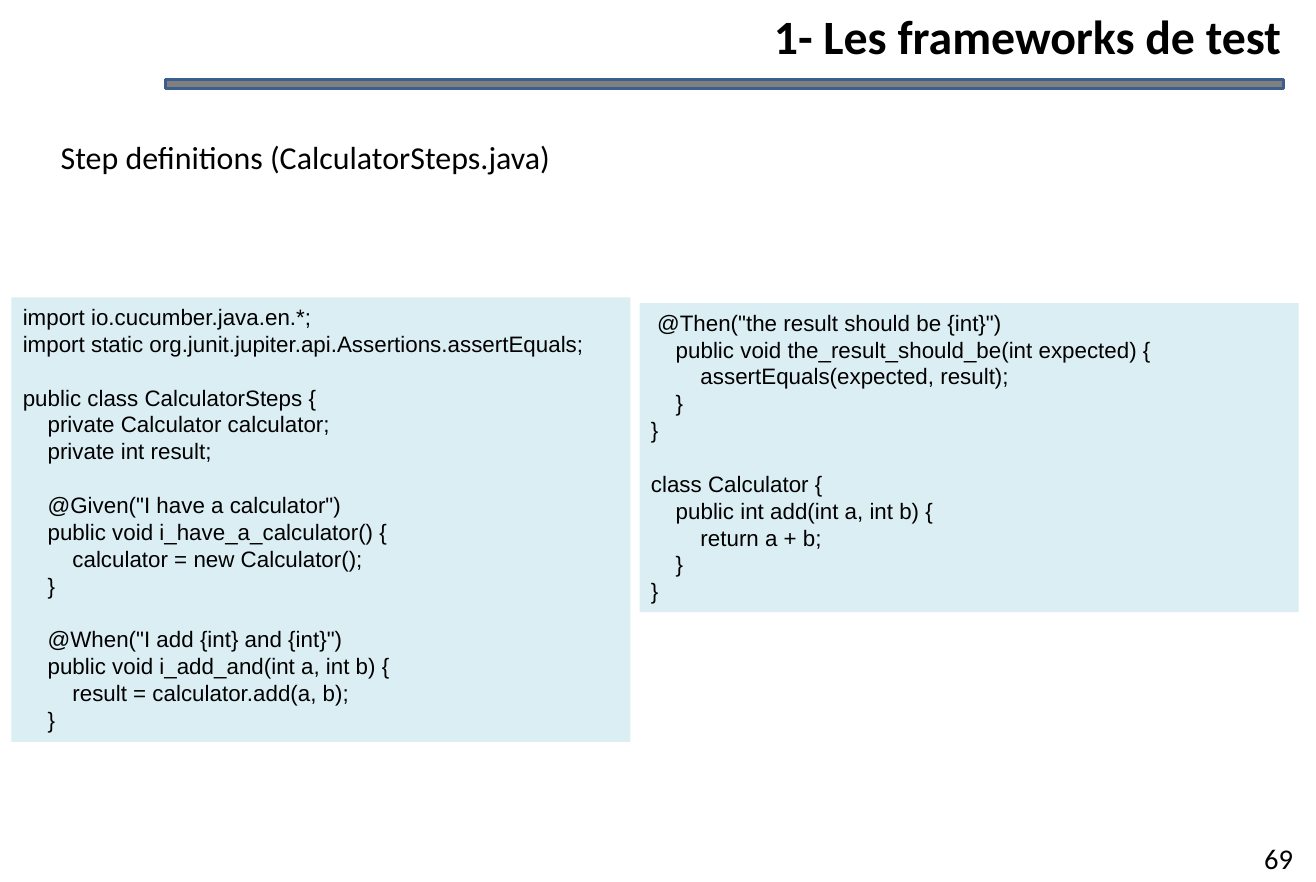
from pptx import Presentation
from pptx.dml.color import RGBColor
from pptx.enum.shapes import MSO_SHAPE
from pptx.enum.text import MSO_ANCHOR, PP_ALIGN
from pptx.util import Inches, Pt

BLACK = RGBColor(0x00, 0x00, 0x00)
GREY = RGBColor(0x80, 0x80, 0x80)
BLUE = RGBColor(0x3A, 0x5F, 0x8C)
PALE = RGBColor(0xDB, 0xEE, 0xF4)

SETUP = """import io.cucumber.java.en.*;
import static org.junit.jupiter.api.Assertions.assertEquals;

public class CalculatorSteps {
    private Calculator calculator;
    private int result;

    @Given("I have a calculator")
    public void i_have_a_calculator() {
        calculator = new Calculator();
    }

    @When("I add {int} and {int}")
    public void i_add_and(int a, int b) {
        result = calculator.add(a, b);
    }"""

CHECK = """ @Then("the result should be {int}")
    public void the_result_should_be(int expected) {
        assertEquals(expected, result);
    }
}

class Calculator {
    public int add(int a, int b) {
        return a + b;
    }
}"""


def write(para, text, size=20, font="Calibri", bold=False,
          align=PP_ALIGN.LEFT, indent=0, before=0, line=None):
    para.alignment = align
    para.space_before = Pt(before)
    para.line_spacing = line
    props = para._p.get_or_add_pPr()
    props.set("marL", str(Inches(indent)))
    props.set("indent", "0")
    run = para.add_run()
    run.text = text
    run.font.name = font
    run.font.size = Pt(size)
    run.font.bold = bold
    run.font.color.rgb = BLACK


class Page:
    code_font = "Arial"
    code_size = 14
    code_line = 16.85
    space = 0.054

    def __init__(self, deck):
        self.slide = deck.slides.add_slide(deck.slide_layouts[6])

    def rect(self, left, top, width, height, fill, edge=None):
        shape = self.slide.shapes.add_shape(
            MSO_SHAPE.RECTANGLE, Inches(left), Inches(top),
            Inches(width), Inches(height))
        shape.shadow.inherit = False
        shape.fill.solid()
        shape.fill.fore_color.rgb = fill
        if edge:
            shape.line.color.rgb = edge
            shape.line.width = Pt(2)
        else:
            shape.line.fill.background()
        return shape

    def label(self, left, top, width, height, text, inset=None,
              anchor=MSO_ANCHOR.TOP, **style):
        box = self.slide.shapes.add_textbox(
            Inches(left), Inches(top), Inches(width), Inches(height))
        frame = box.text_frame
        frame.word_wrap = True
        frame.vertical_anchor = anchor
        if inset is not None:
            frame.margin_left = frame.margin_right = Inches(inset)
            frame.margin_top = frame.margin_bottom = Inches(inset)
        write(frame.paragraphs[0], text, **style)

    def code(self, left, top, width, height, source):
        frame = self.rect(left, top, width, height, PALE).text_frame
        frame.word_wrap = True
        frame.vertical_anchor = MSO_ANCHOR.TOP
        para, gap = frame.paragraphs[0], 0
        for row in source.splitlines():
            if not row:
                gap = self.code_line
                continue
            para = para or frame.add_paragraph()
            text = row.lstrip()
            write(para, text, size=self.code_size, font=self.code_font,
                  indent=self.space * (len(row) - len(text)),
                  before=gap, line=Pt(self.code_line))
            para, gap = None, 0


def main():
    deck = Presentation()
    deck.slide_width = Inches(11.46)
    deck.slide_height = Inches(7.68)
    page = Page(deck)
    page.rect(1.44, 0.69, 9.74, 0.08, GREY, BLUE)
    page.label(2.9, 0.06, 8.26, 0.5, "1- Les frameworks de test",
               inset=0, size=30, bold=True, align=PP_ALIGN.RIGHT)
    page.label(10.81, 7.27, 0.65, 0.41, "69", size=17.9,
               anchor=MSO_ANCHOR.MIDDLE, align=PP_ALIGN.CENTER)
    page.label(0.23, 1.1, 11.02, 0.46,
               "Step definitions (CalculatorSteps.java)",
               indent=0.2, before=4, line=1.15)
    page.code(0.1, 2.59, 5.39, 3.87, SETUP)
    page.code(5.57, 2.64, 5.74, 2.69, CHECK)
    deck.save("out.pptx")


if __name__ == "__main__":
    main()
